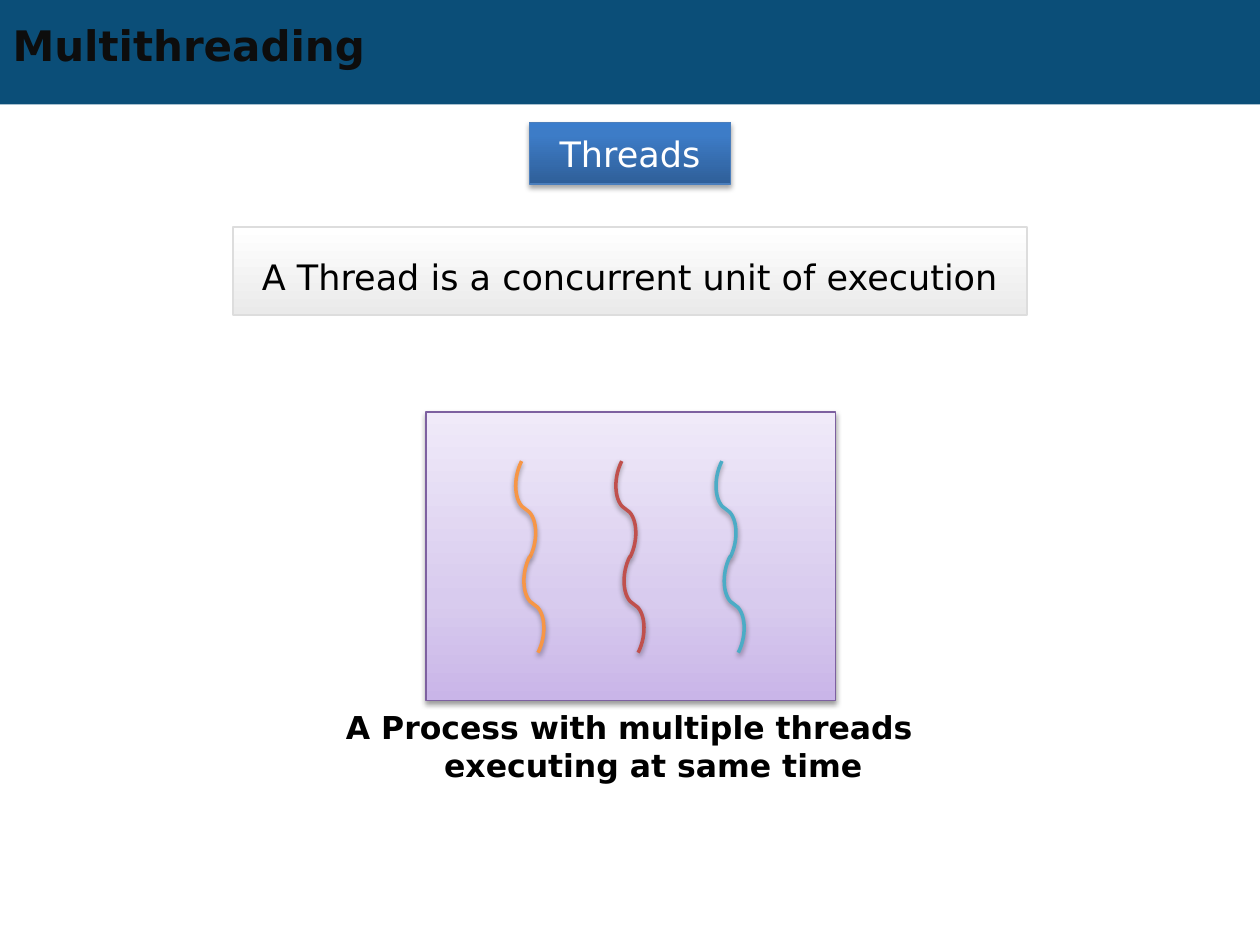
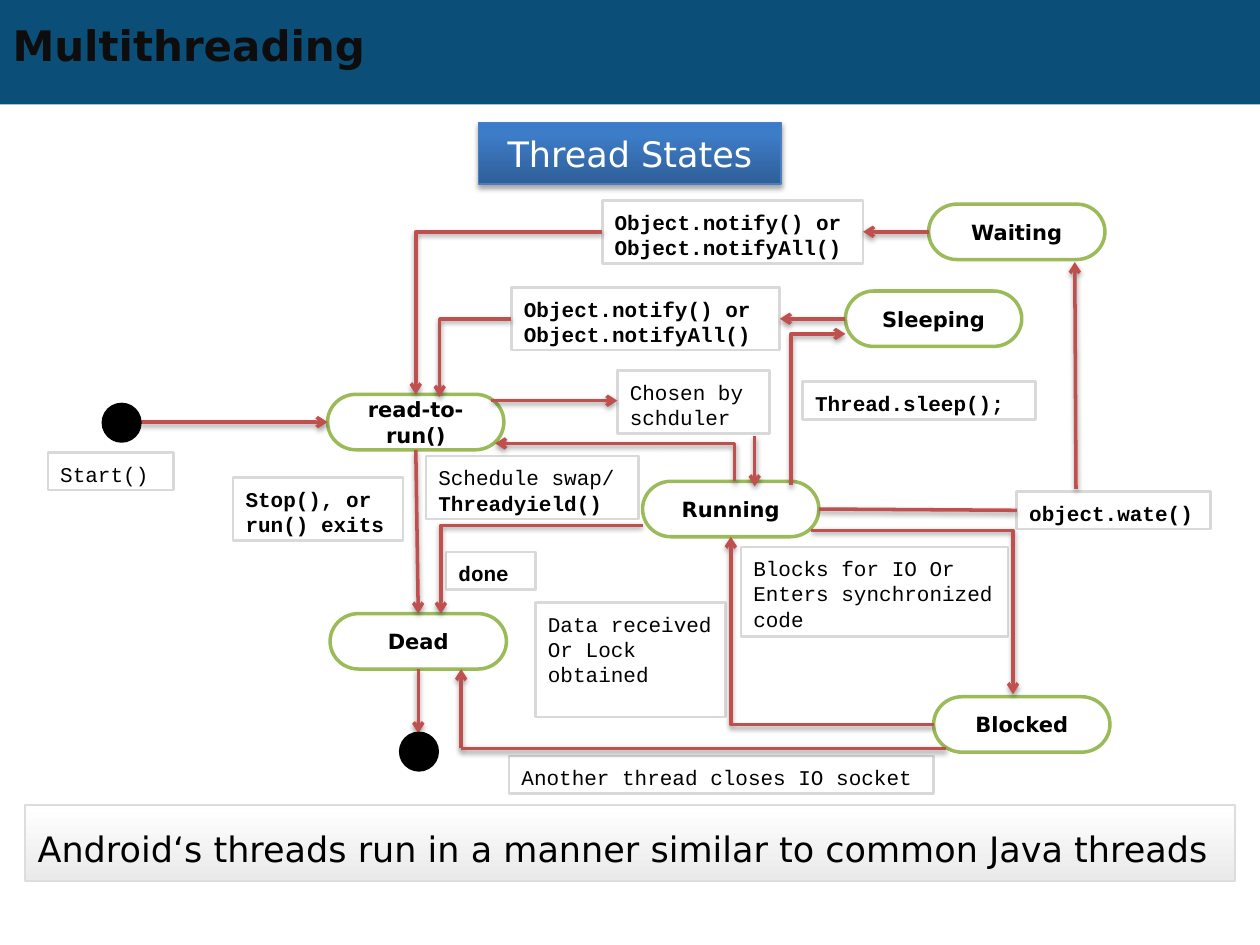
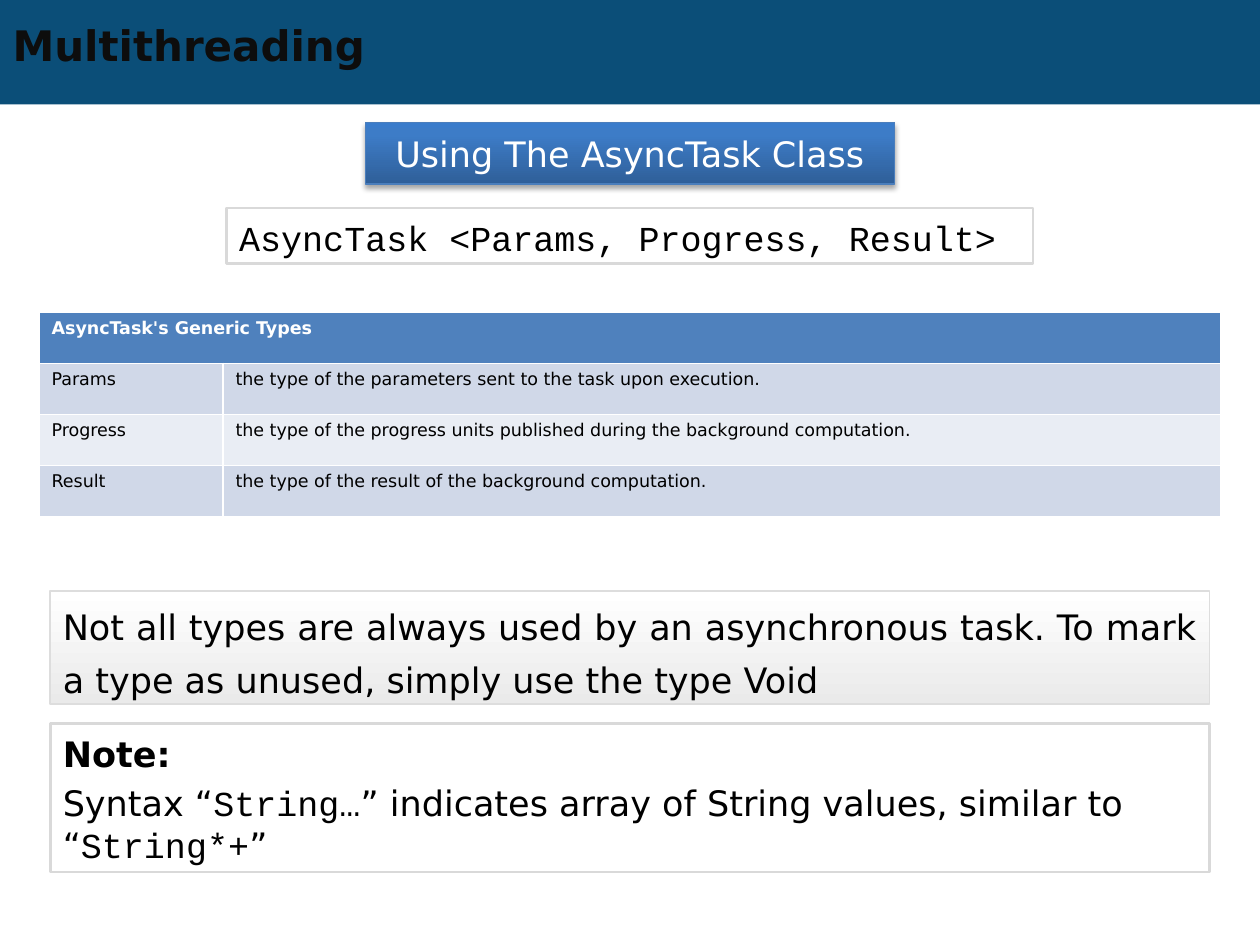
"""Build three slides about threads, thread states and AsyncTask."""
import math

from lxml import etree
from pptx import Presentation
from pptx import util as u
from pptx.dml.color import RGBColor
from pptx.enum import shapes, text
from pptx.oxml.ns import qn

GRID = u.Inches(0.1)
COLUMNS, ROWS = 100, 75
SANS, MONO = "DejaVu Sans", "Courier New"
CENTER, LEFT, JUSTIFY = text.PP_ALIGN.CENTER, text.PP_ALIGN.LEFT, text.PP_ALIGN.JUSTIFY
MIDDLE, TOP = text.MSO_ANCHOR.MIDDLE, text.MSO_ANCHOR.TOP
RECT = shapes.MSO_SHAPE.RECTANGLE
TERMINATOR = shapes.MSO_SHAPE.FLOWCHART_TERMINATOR

BLACK, WHITE, BAND, ARROW = "000000", "FFFFFF", "0B4E78", "C0504D"
BLUE_FADE = ([(0, "2F5F99"), (80, "3D7CC7"), (100, "3A7CCB")], 90)
GRAY_FADE = ([(0, WHITE), (100, "EAEAEA")], 270)
VIOLET_FADE = ([(0, "C9B5E8"), (35, "D8CBEE"), (100, "F0EAF9")], 90)


def look(size, name=SANS, color=BLACK, bold=False, align=LEFT, anchor=MIDDLE, **paragraph):
    return {
        "frame": {"word_wrap": True, "vertical_anchor": anchor},
        "paragraph": {"alignment": align, **paragraph},
        "font": {"name": name, "size": u.Pt(size), "bold": bold},
        "color": color,
    }


LOOKS = {
    "title": look(24, color="0D0D0D", bold=True),
    "heading": look(20, color=WHITE, align=CENTER),
    "definition": look(20, align=CENTER, line_spacing=u.Pt(30)),
    "statement": look(20, align=JUSTIFY, line_spacing=u.Pt(30)),
    "caption": look(18, bold=True, align=CENTER, anchor=TOP),
    "state": look(12, bold=True, align=CENTER),
    "label": look(12, MONO, anchor=TOP),
    "call": look(12, MONO, bold=True, anchor=TOP),
    "syntax": look(20, MONO, anchor=TOP),
    "note": look(20, anchor=TOP),
    "header cell": look(10, color=WHITE, bold=True, anchor=TOP),
    "cell": look(10, anchor=TOP),
}


def rgb(value):
    return RGBColor.from_string(value)


def assign(target, values):
    for key, value in values.items():
        setattr(target, key, value)


def add_xml(parent, tag, **attributes):
    child = etree.SubElement(parent, qn(tag))
    for key, value in attributes.items():
        child.set(key, str(value))
    return child


class Deck:
    def __init__(self):
        self.prs = Presentation()
        self.prs.slide_width = COLUMNS * GRID
        self.prs.slide_height = ROWS * GRID
        self.slide = None

    def span(self, *lengths):
        return [u.Emu(round(length * GRID)) for length in lengths]

    def new_slide(self, title, heading, heading_width):
        first = self.slide is None
        self.slide = self.prs.slides.add_slide(self.prs.slide_layouts[5])
        if first:
            band = self.shape(RECT, (0, 0, COLUMNS, 8.3), BAND)
            self.prs.slide_master.shapes.element.insert(2, band.element)
        place = self.slide.shapes.title
        assign(place, dict(zip(("left", "top", "width", "height"), self.span(0, 1.4, 90, 4.3))))
        place.text_frame.auto_size = text.MSO_AUTO_SIZE.NONE
        self.fill_text(place.text_frame, title, "title")
        banner = self.shape(RECT, ((COLUMNS - heading_width) / 2, 9.7, heading_width, 4.9),
                            BLUE_FADE, ("4B7EBC", 0.75), heading, "heading")
        self.shadow(banner, 35, 1.8)

    def fill_text(self, frame, content, style):
        form = LOOKS[style]
        assign(frame, form["frame"])
        paragraphs = [[(content, {})]] if isinstance(content, str) else content
        for index, runs in enumerate(paragraphs):
            paragraph = frame.add_paragraph() if index else frame.paragraphs[0]
            assign(paragraph, form["paragraph"])
            paragraph.space_before = u.Pt(4 if index else 0)
            for words, changes in runs:
                run = paragraph.add_run()
                run.text = words
                assign(run.font, {**form["font"], **changes})
                run.font.color.rgb = rgb(form["color"])

    def shape(self, preset, box, fill=None, line=None, content=None, style=None):
        item = self.slide.shapes.add_shape(preset, *self.span(*box))
        item.shadow.inherit = False
        if fill is None:
            item.fill.background()
        elif isinstance(fill, str):
            item.fill.solid()
            item.fill.fore_color.rgb = rgb(fill)
        else:
            self.fade(item, *fill)
        if line:
            item.line.color.rgb, item.line.width = rgb(line[0]), u.Pt(line[1])
        else:
            item.line.fill.background()
        if content:
            self.fill_text(item.text_frame, content, style)
        return item

    def fade(self, item, stops, angle):
        item.fill.gradient()
        item.fill.gradient_angle = angle
        stop_list = item.element.spPr.find(".//" + qn("a:gsLst"))
        stop_list.clear()
        for share, color in stops:
            stop = add_xml(stop_list, "a:gs", pos=share * 1000)
            add_xml(stop, "a:srgbClr", val=color)

    def shadow(self, item, alpha=38, distance=1.6):
        properties = item.element.spPr
        effects = properties.find(qn("a:effectLst"))
        if effects is None:
            effects = add_xml(properties, "a:effectLst")
        outer = add_xml(effects, "a:outerShdw", blurRad=u.Pt(3.1), dist=u.Pt(distance),
                        dir=90 * 60000, rotWithShape=0)
        color = add_xml(outer, "a:srgbClr", val=BLACK)
        add_xml(color, "a:alpha", val=alpha * 1000)

    def outlined(self, box, content, style):
        frame = self.shape(RECT, box, None, ("D9D9D9", 1.5), content, style).text_frame
        frame.margin_top = u.Inches(0.07)

    def panel(self, box, content, style="statement"):
        self.shape(RECT, box, GRAY_FADE, ("DDDDDD", 1), content, style)

    def caption(self, box, content, hanging):
        frame = self.slide.shapes.add_textbox(*self.span(*box)).text_frame
        self.fill_text(frame, content, "caption")
        indent = self.span(hanging)[0]
        properties = frame.paragraphs[0]._p.get_or_add_pPr()
        properties.set("marL", str(indent))
        properties.set("indent", str(-indent))

    def connect(self, begin, end, color=ARROW, preset="line", turn=0, arrow=True):
        middle = [(a + b) / 2 for a, b in zip(begin, end)]
        half_x, half_y = [(b - a) / 2 for a, b in zip(begin, end)]
        cos, sin = math.cos(math.radians(-turn)), math.sin(math.radians(-turn))
        reach_x, reach_y = half_x * cos - half_y * sin, half_x * sin + half_y * cos
        item = self.slide.shapes.add_connector(
            shapes.MSO_CONNECTOR.STRAIGHT,
            *self.span(middle[0] - reach_x, middle[1] - reach_y,
                       middle[0] + reach_x, middle[1] + reach_y))
        properties = item.element.spPr
        properties.find(qn("a:prstGeom")).set("prst", preset)
        if turn:
            properties.find(qn("a:xfrm")).set("rot", str(turn * 60000))
        item.line.color.rgb, item.line.width = rgb(color), u.Pt(2)
        if arrow:
            add_xml(properties.find(qn("a:ln")), "a:tailEnd", type="arrow")
        self.shadow(item)

    def table(self, box, widths, header, rows):
        grid = self.slide.shapes.add_table(len(rows) + 1, len(widths), *self.span(*box)).table
        for column, width in zip(grid.columns, self.span(*widths)):
            column.width = width
        grid.cell(0, 0).merge(grid.cell(0, len(widths) - 1))
        self.cell(grid.cell(0, 0), header, "4F81BD", "header cell")
        for r, row in enumerate(rows, 1):
            for c, words in enumerate(row):
                self.cell(grid.cell(r, c), words, "D0D8E8" if r % 2 else "E9EDF4", "cell")

    def cell(self, cell, words, fill, style):
        cell.fill.solid()
        cell.fill.fore_color.rgb = rgb(fill)
        self.fill_text(cell.text_frame, words, style)
        cell.vertical_anchor = TOP


def threads(deck):
    deck.new_slide("Multithreading", "Threads", 16)
    process = deck.shape(RECT, (33.8, 32.7, 32.5, 22.9), VIOLET_FADE, ("7D60A0", 0.75))
    deck.shadow(process)
    for index, color in enumerate(("F79646", ARROW, "4BACC6")):
        x = 41.4 + 7.95 * index
        for shift, top in ((0, 36.6), (0.65, 44.15)):
            deck.connect((x + shift, top), (x + shift + 0.65, top + 7.65), color,
                         "curvedConnector3", 297, arrow=False)
    deck.caption((26.4, 55.7, 47.1, 7.1),
                 "A Process with multiple threads executing at same time", 3.8)
    deck.panel((18.5, 18, 63, 7), "A Thread is a concurrent unit of execution", "definition")


def thread_states(deck):
    deck.new_slide("Multithreading", "Thread States", 24)
    states = {
        "read-to-run()": (26, 31.3), "Running": (51, 38.2), "Sleeping": (67.1, 23.1),
        "Waiting": (73.7, 16.2), "Blocked": (74.1, 55.3), "Dead": (26.2, 48.7),
    }
    for state, corner in states.items():
        deck.shape(TERMINATOR, (*corner, 14, 4.4), WHITE, ("9BBB59", 2), state, "state")

    notify = "Object.notify() or Object.notifyAll()"
    swap = [[("Schedule swap/ ", {}), ("Threadyield()", {"bold": True})]]
    transitions = [
        ((47.8, 15.9, 20.7, 5), notify, "call"),
        ((40.6, 22.8, 21.3, 5), notify, "call"),
        ((63.7, 30.3, 18.5, 3), "Thread.sleep();", "call"),
        ((49, 29.4, 12.1, 5), "Chosen by schduler", "label"),
        ((33.8, 36.2, 16.9, 5), swap, "label"),
        ((18.5, 37.9, 13.5, 5), "Stop(), or run() exits", "call"),
        ((42.5, 47.8, 15.1, 9.1), "Data received Or Lock obtained", "label"),
        ((58.8, 43.4, 21.2, 7.1), "Blocks for IO Or Enters synchronized code", "label"),
        ((80.7, 39, 15.4, 3), "object.wate()", "call"),
        ((35.4, 43.8, 7.1, 3), "done", "call"),
        ((40.4, 60, 33.7, 3), "Another thread closes IO socket", "label"),
        ((3.8, 35.9, 10, 3), "Start()", "label"),
    ]
    for transition in transitions:
        deck.outlined(*transition)

    straight_arrows = [
        ((73.7, 18.4), (68.5, 18.4)), ((39, 31.8), (49, 31.8)),
        ((59.9, 34.6), (59.9, 38.6)), ((67.1, 25.3), (61.9, 25.3)),
        ((85.4, 38.8), (85.3, 20.8)), ((36.6, 59.4), (36.6, 53.1)),
        ((33, 35.7), (33.2, 48.7)), ((11.1, 33.5), (26, 33.5)),
        ((33.2, 53.1), (33.2, 58.2)),
    ]
    across_first = [
        ((47.8, 18.4), (33, 31.3)), ((40.6, 25.3), (34.9, 31.5)),
        ((64.4, 42.1), (80.4, 55.1)), ((74.1, 57.5), (58, 42.6)),
        ((51, 41.7), (35, 48.7)),
    ]
    up_first = [((58.3, 38.2), (39.3, 35.2)), ((62.8, 38.5), (67.1, 26.5))]
    plain_lines = [((65, 40.4), (80.7, 40.5)), ((75.1, 59.4), (36.6, 59.4))]
    for ends in straight_arrows:
        deck.connect(*ends)
    for ends in across_first:
        deck.connect(*ends, preset="bentConnector2")
    for ends in up_first:
        deck.connect(*ends, preset="bentConnector2", turn=270)
    for ends in plain_lines:
        deck.connect(*ends, arrow=False)
    for corner in ((8.2, 32.1), (31.8, 58.2)):
        deck.shape(shapes.MSO_SHAPE.OVAL, (*corner, 2.9, 2.9), BLACK, (BLACK, 2))
    deck.panel((2, 63.9, 96, 6),
               "Android‘s threads run in a manner similar to common Java threads")


def async_task(deck):
    deck.new_slide("Multithreading", "Using The AsyncTask Class", 42)
    deck.outlined((18, 16.5, 64, 4.4), "AsyncTask <Params, Progress, Result>", "syntax")
    deck.table((3.1, 24.8, 93.8, 16.2), (14.6, 79.2), "AsyncTask's Generic Types", [
        ("Params", "the type of the parameters sent to the task upon execution."),
        ("Progress",
         "the type of the progress units published during the background computation."),
        ("Result", "the type of the result of the background computation."),
    ])
    deck.panel((4, 46.9, 92, 9),
               "Not all types are always used by an asynchronous task. "
               "To mark a type as unused, simply use the type Void")
    code = {"name": MONO}
    deck.outlined((4, 57.4, 92, 11.8), [
        [("Note:", {"bold": True})],
        [("Syntax “", {}), ("String…", code),
         ("” indicates array of String values, similar to “", {}),
         ("String*+", code), ("”", {})],
    ], "note")


def main():
    deck = Deck()
    for build in (threads, thread_states, async_task):
        build(deck)
    deck.prs.save("out.pptx")


if __name__ == "__main__":
    main()
